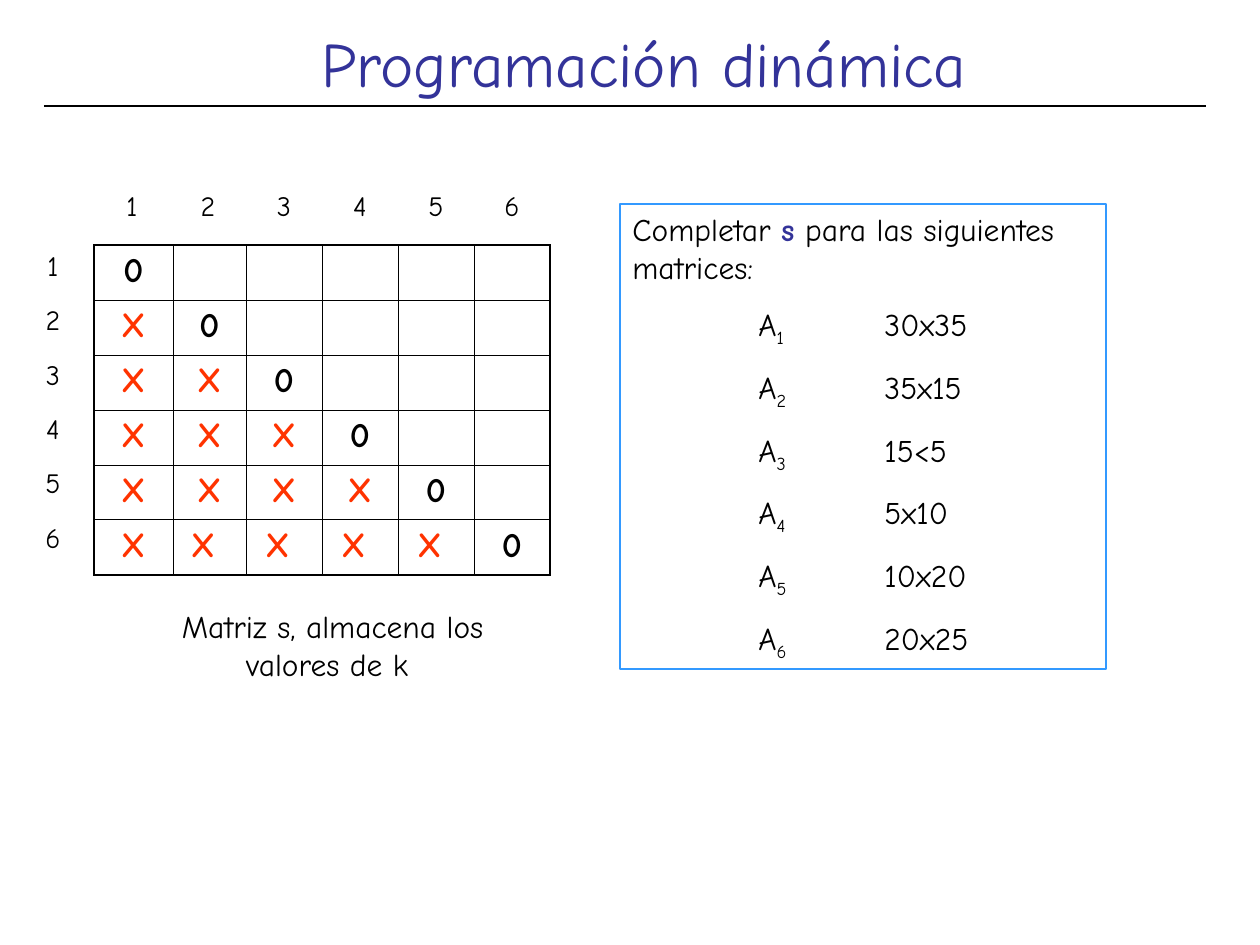
from lxml import etree
from pptx import Presentation
from pptx.dml.color import RGBColor
from pptx.enum.shapes import MSO_CONNECTOR, MSO_SHAPE
from pptx.enum.text import MSO_ANCHOR, PP_ALIGN
from pptx.oxml.ns import qn
from pptx.util import Emu, Pt

RECT, STRAIGHT = MSO_SHAPE.RECTANGLE, MSO_CONNECTOR.STRAIGHT
LEFT, CENTER, TOP = PP_ALIGN.LEFT, PP_ALIGN.CENTER, MSO_ANCHOR.TOP
DPI = 126
BLACK, WHITE, NAVY, RED, BLUE = "000000", "FFFFFF", "333399", "FF3300", "3399FF"


def px(n):
    return Emu(round(n * 914400 / DPI))


def color(value):
    return RGBColor.from_string(value)


class Deck:
    font = "Comic Neue"
    thin, thick = 0.45, 1.08

    def __init__(self, width, height):
        self.prs = Presentation()
        self.prs.slide_width, self.prs.slide_height = px(width), px(height)
        self.s = self.prs.slides.add_slide(self.prs.slide_layouts[6])

    def style(self, r, size, fill=BLACK, bold=False, subscript=False):
        r.font.name, r.font.size, r.font.bold = self.font, Pt(size), bold
        r.font.color.rgb = color(fill)
        if subscript:
            r._r.get_or_add_rPr().set("baseline", "-25000")

    def text(self, x, y, w, h, text, size, fill=BLACK, align=LEFT, wrap=True):
        tf = self.s.shapes.add_textbox(px(x), px(y), px(w), px(h)).text_frame
        tf.word_wrap = wrap
        tf.text = text
        p = tf.paragraphs[0]
        p.alignment = align
        self.style(p.runs[0], size, fill)

    def line(self, x1, y1, x2, y2, width=0.75):
        sp = self.s.shapes.add_connector(STRAIGHT, px(x1), px(y1), px(x2), px(y2))
        sp.line.color.rgb, sp.line.width = color(BLACK), Pt(width)
        etree.SubElement(sp._element.spPr, qn("a:effectLst"))

    def panel(self, x, y, w, h, paragraphs, size, gap):
        """Outlined box; each paragraph is a list of (text, run style) pairs."""
        sp = self.s.shapes.add_shape(RECT, px(x), px(y), px(w), px(h))
        sp.shadow.inherit = False
        sp.fill.background()
        sp.line.color.rgb, sp.line.width = color(BLUE), Pt(1)
        tf = sp.text_frame
        tf.word_wrap, tf.vertical_anchor = True, TOP
        for i, runs in enumerate(paragraphs):
            p = tf.add_paragraph() if i else tf.paragraphs[0]
            p.alignment, p.space_before = LEFT, Pt(gap if i else 0)
            tabs = etree.SubElement(p._p.get_or_add_pPr(), qn("a:tabLst"))
            for stop in (1, 2):
                etree.SubElement(tabs, qn("a:tab"), pos=str(px(stop * DPI)), algn="l")
            for text, look in runs:
                r = p.add_run()
                r.text = text
                self.style(r, size, **look)

    def borders(self, cell, widths):
        tcPr = cell._tc.get_or_add_tcPr()
        for side, width in zip("LRTB", widths):
            ln = etree.SubElement(tcPr, qn(f"a:ln{side}"), w=str(Pt(width)))
            fill = etree.SubElement(ln, qn("a:solidFill"))
            etree.SubElement(fill, qn("a:srgbClr"), val=BLACK)

    def table(self, x, y, cols, row_h, rows, size, bold=False, grid=False):
        """Cells are (text, colour) pairs; grid draws rules and a thick frame."""
        last_row, last_col = len(rows) - 1, len(cols) - 1
        table = self.s.shapes.add_table(len(rows), len(cols), px(x), px(y),
                                        px(sum(cols)), px(row_h * len(rows))).table
        table.first_row = table.horz_banding = False
        for j, width in enumerate(cols):
            table.columns[j].width = px(width)
        for i, row in enumerate(rows):
            table.rows[i].height = px(row_h)
            for j, (text, fill) in enumerate(row):
                cell = table.cell(i, j)
                if grid:
                    edges = (j == 0, j == last_col, i == 0, i == last_row)
                    self.borders(cell, [self.thick if e else self.thin for e in edges])
                    cell.fill.solid()
                    cell.fill.fore_color.rgb = color(WHITE)
                else:
                    cell.fill.background()
                if text:
                    cell.text = text
                    p = cell.text_frame.paragraphs[0]
                    p.alignment = CENTER
                    self.style(p.runs[0], size, fill, bold)


def matrix_cell(i, j):
    if j > i:
        return "", BLACK
    if i == j:
        return "0", BLACK
    return ("X " if i == 5 and j else "X"), RED


def main():
    deck = Deck(1260, 945)

    # Title and rule
    deck.text(309, 18, 673, 88, "Programación dinámica", 36, NAVY, wrap=False)
    deck.line(44, 106, 1206, 106)

    # Column and row numbers
    numbers = [(str(n), BLACK) for n in range(1, 7)]
    deck.table(94, 185, [76] * 6, 54, [numbers], 16)
    deck.table(15, 245, [76], 54.4, [[n] for n in numbers], 16)

    # Exercise
    sizes = ["30x35", "35x15", "15<5", "5x10", "10x20", "20x25"]
    intro = [("Completar ", {}), ("s", {"fill": NAVY, "bold": True}),
             (" para las siguientes matrices:", {})]
    matrices = [[("\tA", {}), (f"{n}\t", {"subscript": True}), (size, {})]
                for n, size in enumerate(sizes, 1)]
    deck.panel(620, 204, 486, 465, [intro] + matrices, 18, 11.25)

    # Matrix s and its caption
    cells = [[matrix_cell(i, j) for j in range(6)] for i in range(6)]
    deck.table(94, 245, [79, 73] + [76] * 4, 55, cells, 20, bold=True, grid=True)
    deck.text(144, 601, 377, 88, "Matriz s, almacena los valores de k ", 18, align=CENTER)

    deck.prs.save("out.pptx")


if __name__ == "__main__":
    main()
